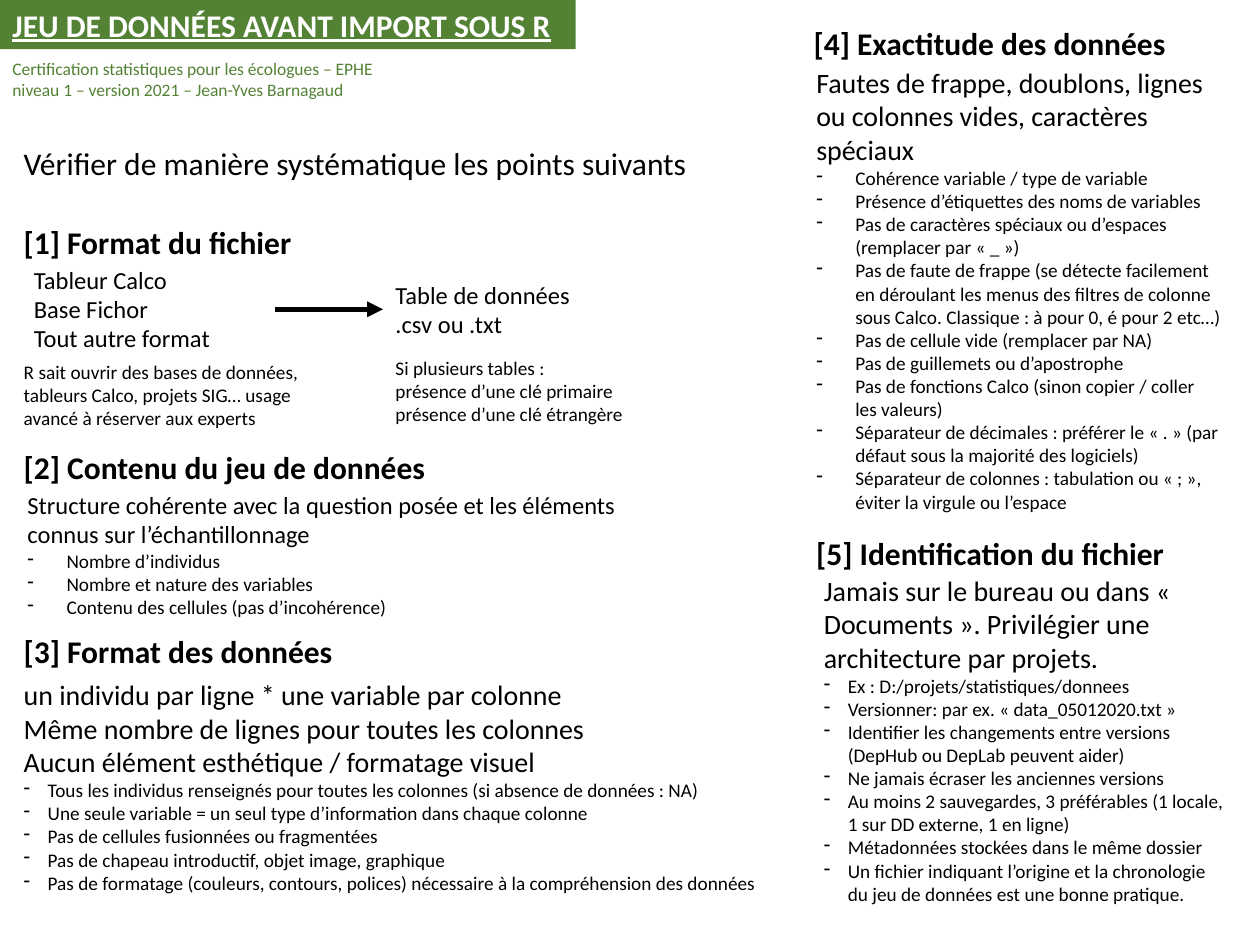
from collections import namedtuple

from lxml.etree import SubElement
from pptx import Presentation
from pptx.dml.color import RGBColor
from pptx.enum.shapes import MSO_CONNECTOR, MSO_SHAPE
from pptx.enum.text import MSO_ANCHOR, PP_ALIGN
from pptx.oxml.ns import qn
from pptx.util import Inches, Pt

COLUMNS, ROWS = 100, 75
WIDTH, HEIGHT = Inches(10), Inches(7.5)
GREEN, BLACK, WHITE = "548235", "000000", "FFFFFF"
HEADING, LEAD, SUBLEAD, DETAIL, CREDIT = 18, 16, 14, 11, 10
WIDE_INDENT, NARROW_INDENT = 3.1, 1.9

Box = namedtuple("Box", "left top width height")


def color(value):
    return RGBColor.from_string(value)


def across(columns):
    return round(columns * WIDTH / COLUMNS)


def down(rows):
    return round(rows * HEIGHT / ROWS)


def place(box):
    return across(box.left), down(box.top), across(box.width), down(box.height)


def inside(box, left, top, width, height):
    return Box(box.left + left, box.top + top, width, height)


def add_dash(para, indent):
    properties = para._p.get_or_add_pPr()
    properties.set("marL", str(across(indent)))
    properties.set("indent", str(-across(indent)))
    SubElement(properties, qn("a:buChar")).set("char", "-")


def style(para, size, fill=BLACK, bold=False, underline=False):
    para.alignment = PP_ALIGN.LEFT
    for span in para.runs:
        font = span.font
        font.name, font.size = "Calibri", Pt(size)
        font.bold, font.underline = bold, underline
        font.color.rgb = color(fill)


def add_text(page, box, lines, size, fill=BLACK, bold=False, bullets=(), indent=0):
    shape = page.shapes.add_textbox(*place(box))
    frame = shape.text_frame
    frame.word_wrap = True
    frame.text = "\n".join([*lines, *bullets])
    for number, para in enumerate(frame.paragraphs):
        if number < len(lines):
            style(para, size, fill, bold)
        else:
            add_dash(para, indent)
            style(para, DETAIL, fill)
    return shape


def add_arrow(page, source, target):
    arrow = page.shapes.add_connector(MSO_CONNECTOR.STRAIGHT, 0, 0, 0, 0)
    arrow.begin_connect(source, 3)
    arrow.end_connect(target, 1)
    arrow.line.color.rgb = color(BLACK)
    arrow.line.width = Pt(3)
    SubElement(arrow.line._get_or_add_ln(), qn("a:tailEnd")).set("type", "triangle")
    SubElement(arrow._element.spPr, qn("a:effectLst"))


def add_header(page, box):
    banner = page.shapes.add_shape(
        MSO_SHAPE.RECTANGLE, *place(inside(box, 0, 0, 45.7, 3.9)))
    banner.shadow.inherit = False
    banner.fill.solid()
    banner.fill.fore_color.rgb = color(GREEN)
    banner.line.fill.background()
    frame = banner.text_frame
    frame.vertical_anchor = MSO_ANCHOR.MIDDLE
    frame.text = "JEU DE DONNÉES AVANT IMPORT SOUS R"
    style(frame.paragraphs[0], HEADING, WHITE, bold=True, underline=True)
    add_text(page, inside(box, 0, 4.1, 34.4, 4.4), [
        "Certification statistiques pour les écologues – EPHE",
        "niveau 1 – version 2021 – Jean-Yves Barnagaud",
    ], CREDIT, GREEN)
    add_text(page, inside(box, 0.9, 10.9, 57.7, 4),
             ["Vérifier de manière systématique les points suivants"], HEADING)


def add_file_format(page, box):
    add_text(page, inside(box, 0, 0, 27.3, 4), ["[1] Format du fichier"], HEADING, bold=True)
    sources = add_text(page, inside(box, 0.8, 3.3, 20.1, 8.1),
                       ["Tableur Calco", "Base Fichor", "Tout autre format"], SUBLEAD)
    table = add_text(page, inside(box, 29.5, 4.5, 20.1, 5.7),
                     ["Table de données", ".csv ou .txt"], SUBLEAD)
    add_arrow(page, sources, table)
    add_text(page, inside(box, 0, 10.9, 26.3, 6.6), [
        "R sait ouvrir des bases de données, tableurs Calco, projets SIG… "
        "usage avancé à réserver aux experts",
    ], DETAIL)
    add_text(page, inside(box, 29.5, 10.6, 21.9, 6.6), [
        "Si plusieurs tables :",
        "présence d’une clé primaire",
        "présence d’une clé étrangère",
    ], DETAIL)


def add_section(page, box, title, shift, drop, lines, size, bullets, indent):
    add_text(page, inside(box, 0, 0, 35.6, 4), [title], HEADING, bold=True)
    body = inside(box, shift, drop, box.width - shift, box.height - drop)
    add_text(page, body, lines, size, bullets=bullets, indent=indent)


def main():
    deck = Presentation()
    deck.slide_width, deck.slide_height = WIDTH, HEIGHT
    page = deck.slides.add_slide(deck.slide_layouts[6])

    add_header(page, Box(0, 0, 58.6, 14.9))
    add_file_format(page, Box(0.9, 17.2, 51.4, 17.5))
    add_section(page, Box(0.9, 35.1, 50.6, 17.6), "[2] Contenu du jeu de données", 0.3, 3.3, [
        "Structure cohérente avec la question posée et les éléments connus sur l’échantillonnage",
    ], SUBLEAD, [
        "Nombre d’individus",
        "Nombre et nature des variables",
        "Contenu des cellules (pas d’incohérence)",
    ], WIDE_INDENT)
    add_section(page, Box(0.9, 49.7, 61.6, 21.9), "[3] Format des données", 0, 3.6, [
        "un individu par ligne * une variable par colonne",
        "Même nombre de lignes pour toutes les colonnes",
        "Aucun élément esthétique / formatage visuel",
    ], LEAD, [
        "Tous les individus renseignés pour toutes les colonnes (si absence de données : NA)",
        "Une seule variable = un seul type d’information dans chaque colonne",
        "Pas de cellules fusionnées ou fragmentées",
        "Pas de chapeau introductif, objet image, graphique",
        "Pas de formatage (couleurs, contours, polices) nécessaire à la compréhension des données",
    ], NARROW_INDENT)
    add_section(page, Box(63.6, 1.4, 34.3, 41.2), "[4] Exactitude des données", 0.2, 3.3, [
        "Fautes de frappe, doublons, lignes ou colonnes vides, caractères spéciaux",
    ], LEAD, [
        "Cohérence variable / type de variable",
        "Présence d’étiquettes des noms de variables",
        "Pas de caractères spéciaux ou d’espaces (remplacer par « _ »)",
        "Pas de faute de frappe (se détecte facilement en déroulant les menus des filtres "
        "de colonne sous Calco. Classique : à pour 0, é pour 2 etc…)",
        "Pas de cellule vide (remplacer par NA)",
        "Pas de guillemets ou d’apostrophe",
        "Pas de fonctions Calco (sinon copier / coller les valeurs)",
        "Séparateur de décimales : préférer le « . » (par défaut sous la majorité des logiciels)",
        "Séparateur de colonnes : tabulation ou « ; », éviter la virgule ou l’espace",
    ], WIDE_INDENT)
    add_section(page, Box(63.8, 41.9, 34.7, 30.7), "[5] Identification du fichier", 0.6, 3.1, [
        "Jamais sur le bureau ou dans « Documents ». Privilégier une architecture par projets.",
    ], LEAD, [
        "Ex : D:/projets/statistiques/donnees",
        "Versionner: par ex. « data_05012020.txt »",
        "Identifier les changements entre versions (DepHub ou DepLab peuvent aider)",
        "Ne jamais écraser les anciennes versions",
        "Au moins 2 sauvegardes, 3 préférables (1 locale, 1 sur DD externe, 1 en ligne)",
        "Métadonnées stockées dans le même dossier",
        "Un fichier indiquant l’origine et la chronologie du jeu de données est une bonne pratique.",
    ], NARROW_INDENT)

    deck.save("out.pptx")


if __name__ == "__main__":
    main()
